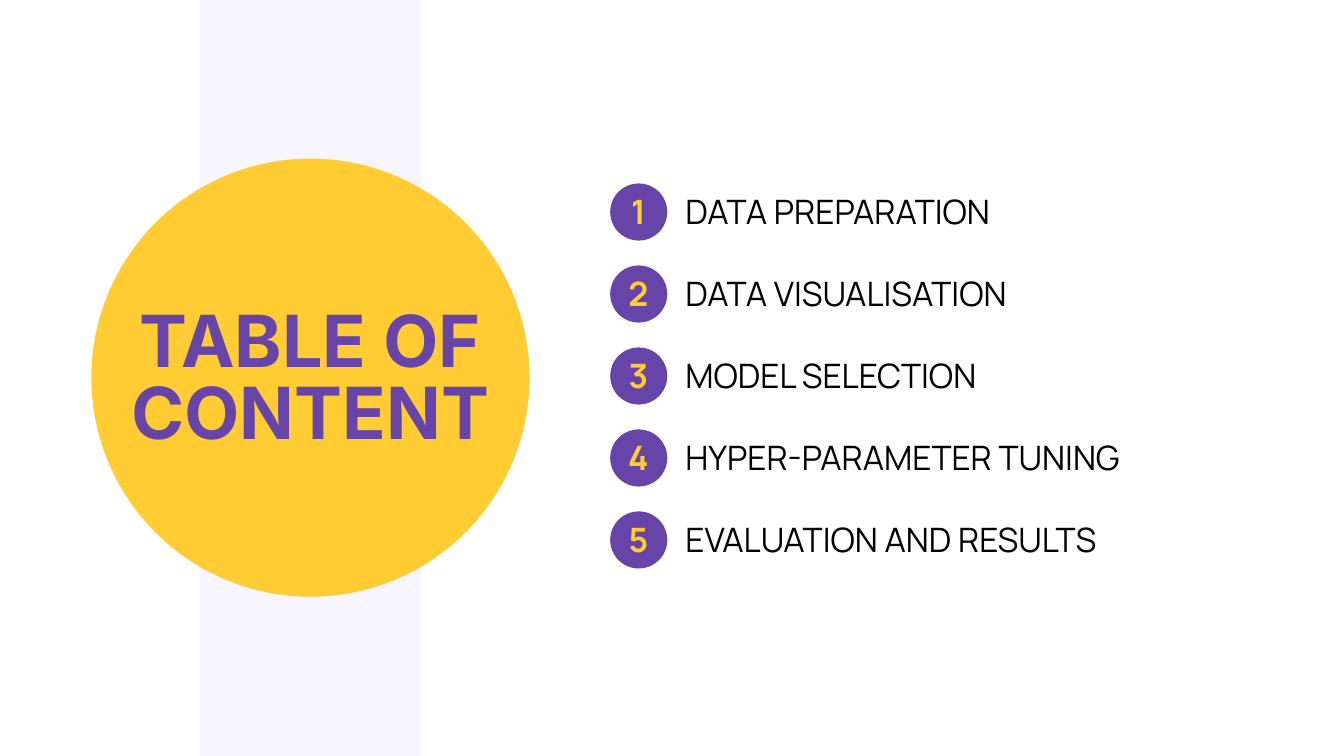
import pptx
import pptx.util
import pptx.dml.color
import pptx.enum.shapes
import pptx.enum.text

PX = 9144  # EMU per px, 100 px to the inch

THEME = {
    "band": "F7F5FF",
    "yellow": "FFCC33",
    "purple": "6644A8",
    "black": "000000",
    "title_font": "Inter",
    "body_font": "Manrope",
    "title_size": 77,
    "title_line": 77,
    "body_size": 36,
    "body_line": 50.4,
}

SHAPES = pptx.enum.shapes.MSO_SHAPE
ALIGN = pptx.enum.text.PP_ALIGN


def add_filled_shape(slide, kind, left, top, width, height, color):
    shape = slide.shapes.add_shape(kind, left * PX, top * PX, width * PX, height * PX)
    shape.shadow.inherit = False
    shape.fill.solid()
    shape.fill.fore_color.rgb = pptx.dml.color.RGBColor.from_string(THEME[color])
    shape.line.fill.background()


def add_text(slide, text, left, top, width, height, color, style="body", bold=False, align=ALIGN.LEFT):
    box = slide.shapes.add_textbox(left * PX, top * PX, width * PX, height * PX)
    frame = box.text_frame
    frame.margin_left = frame.margin_top = frame.margin_right = frame.margin_bottom = 0
    frame.word_wrap = True
    frame.auto_size = pptx.enum.text.MSO_AUTO_SIZE.SHAPE_TO_FIT_TEXT
    frame.text = text
    paragraph = frame.paragraphs[0]
    paragraph.alignment = align
    paragraph.line_spacing = pptx.util.Pt(THEME[style + "_line"])
    font = paragraph.runs[0].font
    font.name = THEME[style + "_font"]
    font.size = pptx.util.Pt(THEME[style + "_size"])
    font.bold = bold
    font.color.rgb = pptx.dml.color.RGBColor.from_string(THEME[color])


presentation = pptx.Presentation()
presentation.slide_width = 2000 * PX
presentation.slide_height = 1125 * PX
slide = presentation.slides.add_slide(presentation.slide_layouts[6])

# Vertical band, bleeding past the top and bottom edges
add_filled_shape(slide, SHAPES.RECTANGLE, 297, -86, 330, 1298, "band")

# Title on its disc
add_filled_shape(slide, SHAPES.OVAL, 136, 236, 652, 652, "yellow")
add_text(slide, "TABLE OF CONTENT", 136, 461, 652, 218, "purple",
         style="title", bold=True, align=ALIGN.CENTER)

# Numbered contents: label and width of its box
contents = [
    ("DATA PREPARATION", 905),
    ("DATA VISUALISATION", 646),
    ("MODEL SELECTION", 646),
    ("HYPER-PARAMETER TUNING", 868),
    ("EVALUATION AND RESULTS", 646),
]
FIRST_TOP, ROW_PITCH, BADGE = 273, 122, 85

for index, (label, label_width) in enumerate(contents):
    top = FIRST_TOP + index * ROW_PITCH
    add_filled_shape(slide, SHAPES.OVAL, 908, top, BADGE, BADGE, "purple")
    add_text(slide, str(index + 1), 923, top + 1, 54, 71, "yellow", bold=True, align=ALIGN.CENTER)
    add_text(slide, label, 1020, top + 1, label_width, 71, "black")

presentation.save("out.pptx")
